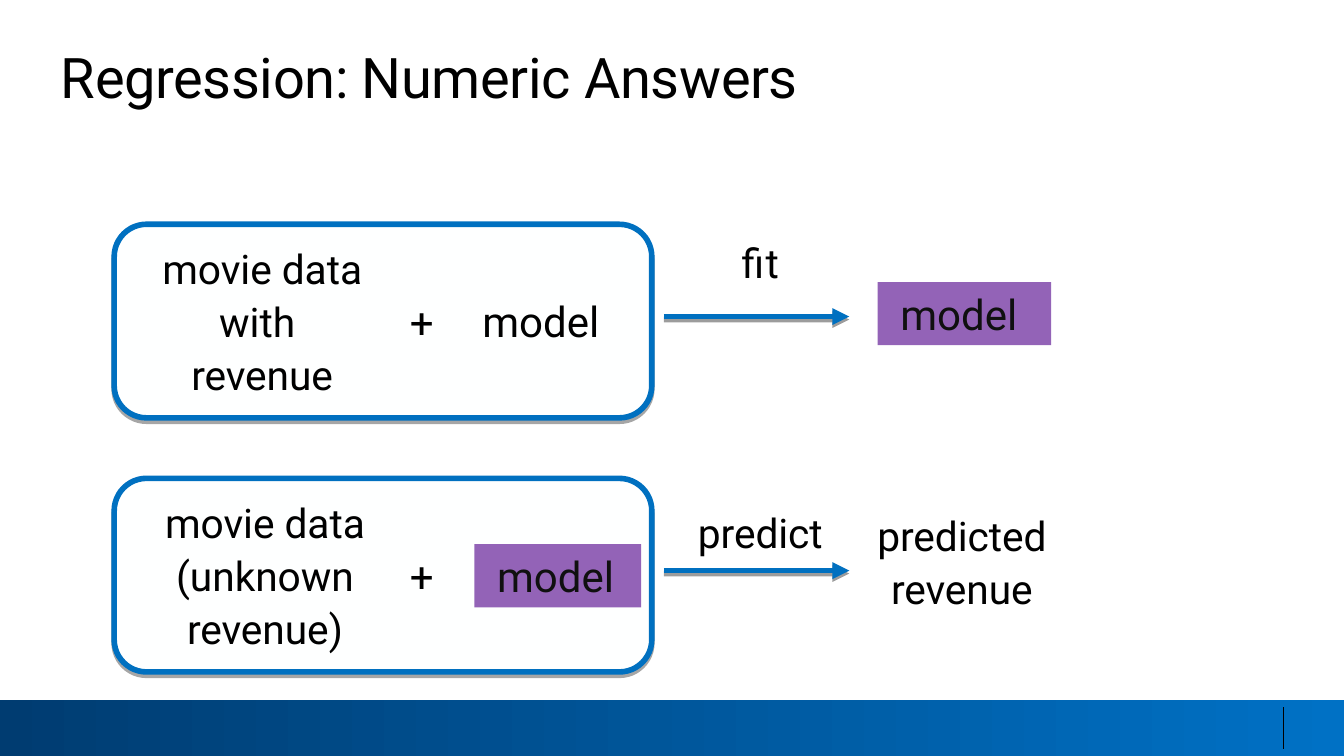
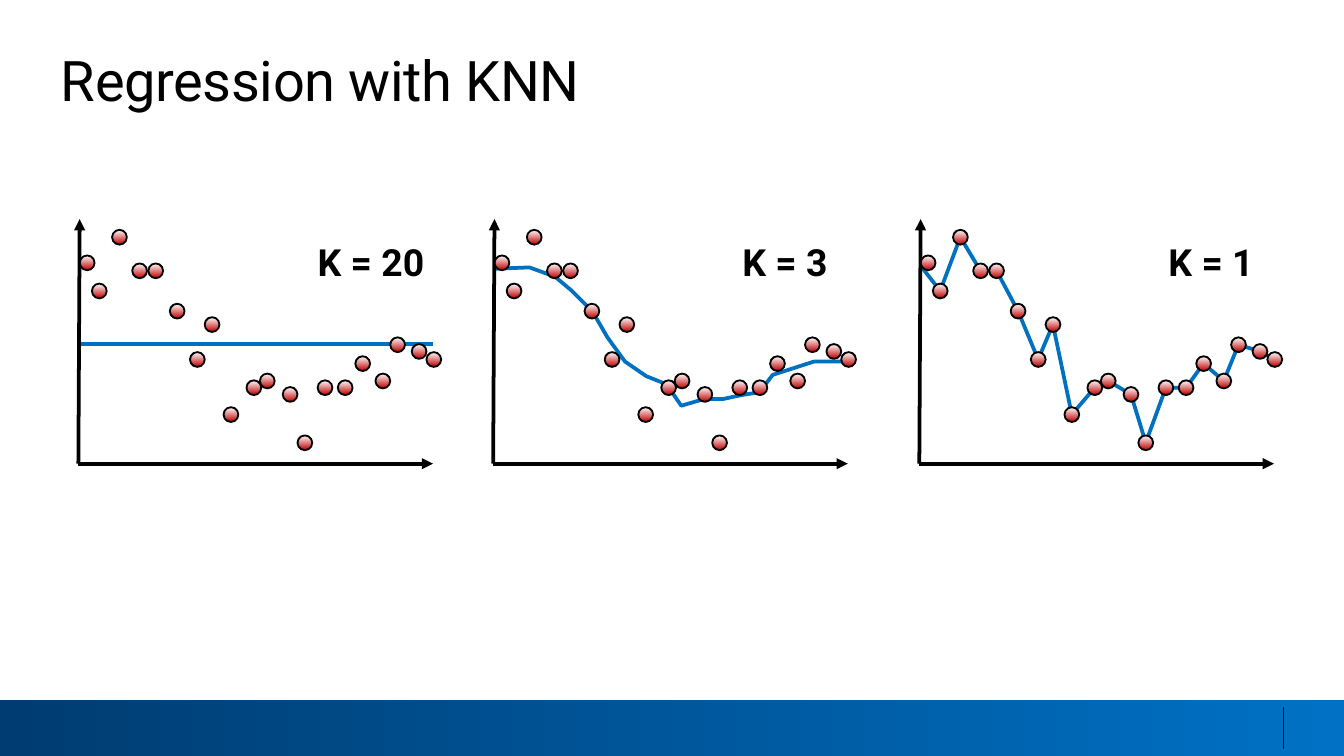
from dataclasses import dataclass
from typing import NamedTuple, Optional

from lxml import etree
from pptx import Presentation
from pptx.dml.color import RGBColor
from pptx.enum.shapes import MSO_CONNECTOR, MSO_SHAPE
from pptx.enum.text import MSO_ANCHOR, PP_ALIGN
from pptx.oxml.ns import qn
from pptx.util import Pt

RECTANGLE = MSO_SHAPE.RECTANGLE
ROUNDED = MSO_SHAPE.ROUNDED_RECTANGLE
OVAL = MSO_SHAPE.OVAL
STRAIGHT = MSO_CONNECTOR.STRAIGHT
LEFT, CENTER = PP_ALIGN.LEFT, PP_ALIGN.CENTER
TOP, MIDDLE = MSO_ANCHOR.TOP, MSO_ANCHOR.MIDDLE


# Theme
@dataclass(frozen=True)
class Theme:
    font: str = "Roboto"
    text: str = "000000"
    model_text: str = "101010"
    panel: str = "FEFFFF"
    accent: str = "0070C0"
    purple: str = "7030A0"
    band_start: str = "0071C5"
    band_end: str = "003C71"
    dot: str = "C00000"
    title_size: float = 30
    formula_size: float = 22.5
    body_size: float = 21.8
    label_size: float = 20
    line_spacing: float = 28.5


THEME = Theme()


class Box(NamedTuple):
    left: float
    top: float
    width: float
    height: float


class Point(NamedTuple):
    x: float
    y: float


class Shadow(NamedTuple):
    alpha: int
    distance: float


class TextStyle(NamedTuple):
    size: float
    color: str = THEME.text
    bold: bool = False
    align: PP_ALIGN = LEFT
    anchor: MSO_ANCHOR = TOP
    indent: float = 1
    line_spacing: Optional[float] = THEME.line_spacing
    tracking: float = 0


class Caption(NamedTuple):
    box: Box
    paragraphs: tuple[str, ...]
    style: TextStyle


class Panel(NamedTuple):
    left: float
    label: str
    label_offset: float
    label_width: float
    curve: list[Point]


BOX_SHADOW = Shadow(35, 1.8)
ARROW_SHADOW = Shadow(38, 1.6)
TITLE = TextStyle(THEME.title_size, line_spacing=None, tracking=-0.2)
BODY = TextStyle(THEME.body_size, align=CENTER, tracking=-0.05)
FORMULA = TextStyle(THEME.formula_size, indent=5, line_spacing=None)
MODEL = FORMULA._replace(color=THEME.model_text, anchor=MIDDLE)
LABEL = TextStyle(THEME.label_size, bold=True, anchor=MIDDLE)


# Drawing helpers
def rgb(color: str) -> RGBColor:
    return RGBColor.from_string(color)


def points(values) -> list:
    return [Pt(value) for value in values]


def set_shadow(shape, shadow: Optional[Shadow]) -> None:
    """Replace the theme shadow; call after fill and line are set."""
    properties = shape.element.spPr
    for old in properties.findall(qn("a:effectLst")):
        properties.remove(old)
    effects = etree.SubElement(properties, qn("a:effectLst"))
    if shadow:
        outer = etree.SubElement(effects, qn("a:outerShdw"), blurRad="0",
                                 dist=str(Pt(shadow.distance)), dir="5400000",
                                 algn="t", rotWithShape="0")
        color = etree.SubElement(outer, qn("a:srgbClr"), val="000000")
        etree.SubElement(color, qn("a:alpha"), val=str(shadow.alpha * 1000))


def set_line(shape, color: str, width: float) -> None:
    shape.line.color.rgb = rgb(color)
    shape.line.width = Pt(width)


def set_gradient(shape, first: str, last: str, angle: float) -> None:
    shape.fill.gradient()
    shape.fill.gradient_angle = angle
    for stop, color in zip(shape.fill.gradient_stops, (first, last)):
        stop.color.rgb = rgb(color)


def write(shape, paragraphs: tuple[str, ...], style: TextStyle) -> None:
    frame = shape.text_frame
    frame.word_wrap = True
    frame.vertical_anchor = style.anchor
    frame.margin_left = frame.margin_right = 0
    frame.margin_top = frame.margin_bottom = 0
    for number, text in enumerate(paragraphs):
        paragraph = frame.add_paragraph() if number else frame.paragraphs[0]
        paragraph.add_run().text = text
        paragraph.alignment = style.align
        if style.line_spacing:
            paragraph.line_spacing = Pt(style.line_spacing)
        font = paragraph.font
        font.name, font.size, font.bold = THEME.font, Pt(style.size), style.bold
        font.color.rgb = rgb(style.color)
        properties = paragraph._p.get_or_add_pPr()
        properties.set("marL", str(Pt(style.indent)))
        properties.set("indent", "0")
        properties.find(qn("a:defRPr")).set("spc", str(round(style.tracking * 100)))


def add_caption(slide, caption: Caption) -> None:
    write(slide.shapes.add_textbox(*points(caption.box)), caption.paragraphs, caption.style)


def add_line(slide, start: Point, end: Point, color: str, width: float,
             arrow: bool = False, shadow: Optional[Shadow] = None) -> None:
    connector = slide.shapes.add_connector(STRAIGHT, *points(start + end))
    set_line(connector, color, width)
    if arrow:
        line = connector.element.spPr.find(qn("a:ln"))
        etree.SubElement(line, qn("a:tailEnd"), type="triangle")
    set_shadow(connector, shadow)


def add_curve(slide, curve: list[Point]) -> None:
    if len(curve) == 2:
        add_line(slide, *curve, THEME.accent, 2)
        return
    builder = slide.shapes.build_freeform(*points(curve[0]))
    builder.add_line_segments([points(point) for point in curve[1:]], close=False)
    shape = builder.convert_to_shape()
    shape.fill.background()
    set_line(shape, THEME.accent, 2)
    set_shadow(shape, None)


def add_input_frame(slide, box: Box) -> None:
    shape = slide.shapes.add_shape(ROUNDED, *points(box))
    shape.adjustments[0] = 0.167
    shape.fill.solid()
    shape.fill.fore_color.rgb = rgb(THEME.panel)
    set_line(shape, THEME.accent, 3)
    set_shadow(shape, BOX_SHADOW)


def add_fitted_model(slide, box: Box) -> None:
    shape = slide.shapes.add_shape(RECTANGLE, *points(box))
    shape.fill.solid()
    shape.fill.fore_color.rgb = rgb(THEME.purple)
    color = shape.element.spPr.find(qn("a:solidFill")).find(qn("a:srgbClr"))
    etree.SubElement(color, qn("a:alpha"), val="75000")
    shape.line.fill.background()
    set_shadow(shape, None)
    write(shape, ("model",), MODEL)
    shape.text_frame.margin_left = shape.text_frame.margin_right = Pt(7.2)


def add_dot(slide, center: Point) -> None:
    size = 7.9
    box = Box(center.x - size / 2, center.y - size / 2, size, size)
    shape = slide.shapes.add_shape(OVAL, *points(box))
    set_gradient(shape, THEME.dot, THEME.panel, 90)
    set_line(shape, THEME.text, 1)
    set_shadow(shape, None)


def start_slide(presentation, title: str, title_top: float):
    """Add a blank slide with the footer band and the title."""
    slide = presentation.slides.add_slide(presentation.slide_layouts[6])
    band = slide.shapes.add_shape(RECTANGLE, *points(Box(0, 375, 720, 30)))
    set_gradient(band, THEME.band_start, THEME.band_end, 180)
    band.line.fill.background()
    set_shadow(band, BOX_SHADOW)
    add_line(slide, Point(687.6, 379), Point(687.6, 401.5), THEME.text, 0.75)
    add_caption(slide, Caption(Box(31.7, title_top, 664.6, 36), (title,), TITLE))
    return slide


# Slide 1: fit and predict
ROW_TOPS = (120.2, 256.3)
FLOW_CAPTIONS = (
    Caption(Box(72.7, 128.2, 134.6, 85.7), ("movie data with ", "revenue"), BODY),
    Caption(Box(72.7, 264.2, 137.5, 85.7), ("movie data (unknown revenue)",), BODY),
    Caption(Box(253.4, 158.4, 74.9, 54), ("model",), FORMULA),
    Caption(Box(466.6, 271.4, 96.5, 85.7), ("predicted revenue",), BODY),
    Caption(Box(351.4, 125.3, 110.9, 28.8), ("fit",), BODY),
    Caption(Box(351.4, 270, 110.9, 28.8), ("predict",), BODY),
)
FITTED_MODELS = (Box(470.2, 151.2, 92.9, 33.8), Box(254.2, 291.6, 89.3, 33.8))


def build_flow_slide(presentation) -> None:
    slide = start_slide(presentation, "Regression: Numeric Answers", 23)
    for top in ROW_TOPS:
        add_input_frame(slide, Box(61.2, top, 288, 103.7))
        add_caption(slide, Caption(Box(214.6, top + 38.6, 23.8, 27.4), ("+",), FORMULA))
        arrow_y = top + 49.4
        add_line(slide, Point(355.7, arrow_y), Point(455, arrow_y),
                 THEME.accent, 3, arrow=True, shadow=ARROW_SHADOW)
    for caption in FLOW_CAPTIONS:
        add_caption(slide, caption)
    for box in FITTED_MODELS:
        add_fitted_model(slide, box)


# Slide 2: the same samples under three values of K, x measured from the axis
SAMPLES = [Point(*pair) for pair in (
    (4.7, 140.8), (11.2, 155.9), (22, 127.1), (32.8, 145.1), (41.4, 145.1),
    (52.9, 166.7), (63.7, 192.6), (71.6, 173.9), (81.7, 222.1), (94, 207.7),
    (101.2, 204.1), (113.4, 211.3), (121.3, 237.2), (132.1, 207.7),
    (142.9, 207.7), (152.3, 194.8), (163.1, 204.1), (171, 184.7),
    (182.5, 188.3), (190.4, 192.6))]
MEAN_LINE = [Point(1.2, 184.4), Point(190, 184.4)]
THREE_NEIGHBOURS = [Point(*pair) for pair in (
    (1.5, 144), (19.5, 143.3), (33.2, 148.3), (41.8, 155.5), (53.3, 167),
    (61.2, 180.7), (70.6, 193.7), (82.1, 201.6), (92.9, 205.9),
    (100.8, 217.4), (113.1, 213.8), (123.2, 213.8), (133.2, 211.7),
    (142.6, 210.2), (149.8, 200.9), (172.1, 193.7), (188.7, 193.7))]
ONE_NEIGHBOUR = [Point(1.4, 143.3)] + SAMPLES[1:]
PANELS = (
    Panel(42, "K = 20", 127.2, 62.6, MEAN_LINE),
    Panel(264.2, "K = 3", 132.5, 50.4, THREE_NEIGHBOURS),
    Panel(492.5, "K = 1", 132.5, 50.4, ONE_NEIGHBOUR),
)


def add_panel(slide, panel: Panel) -> None:
    def shifted(series: list[Point]) -> list[Point]:
        return [Point(panel.left + point.x, point.y) for point in series]

    add_curve(slide, shifted(panel.curve))
    label_box = Box(panel.left + panel.label_offset, 109.4, panel.label_width, 56.9)
    add_caption(slide, Caption(label_box, (panel.label,), LABEL))
    origin = Point(panel.left, 248.4)
    for end in (Point(panel.left + 0.7, 117.4), Point(panel.left + 190, origin.y)):
        add_line(slide, origin, end, THEME.text, 2, arrow=True)
    for center in shifted(SAMPLES):
        add_dot(slide, center)


def build_knn_slide(presentation) -> None:
    slide = start_slide(presentation, "Regression with KNN", 24.5)
    for panel in PANELS:
        add_panel(slide, panel)


def main() -> None:
    presentation = Presentation()
    presentation.slide_width, presentation.slide_height = Pt(720), Pt(405)
    build_flow_slide(presentation)
    build_knn_slide(presentation)
    presentation.save("out.pptx")


if __name__ == "__main__":
    main()
